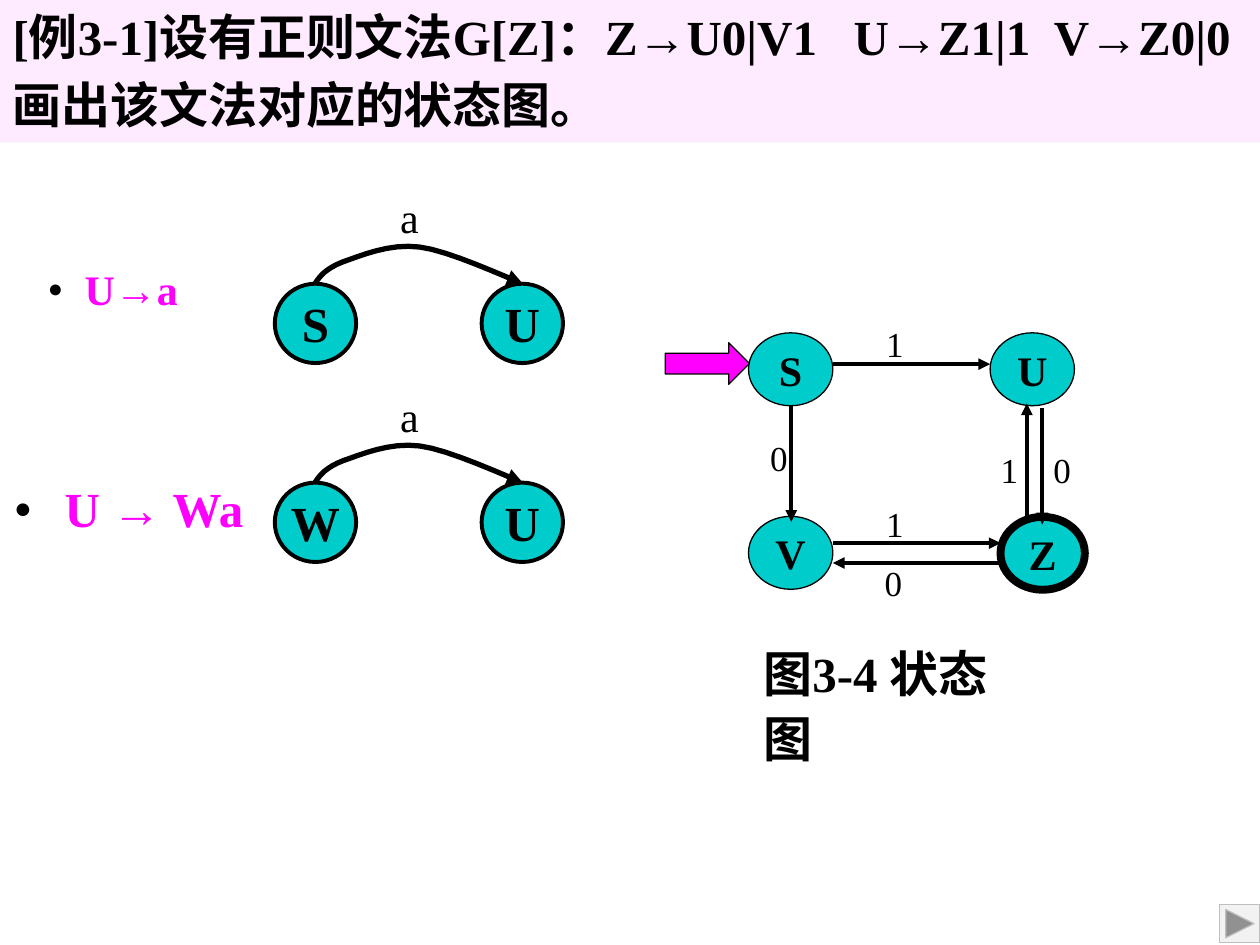
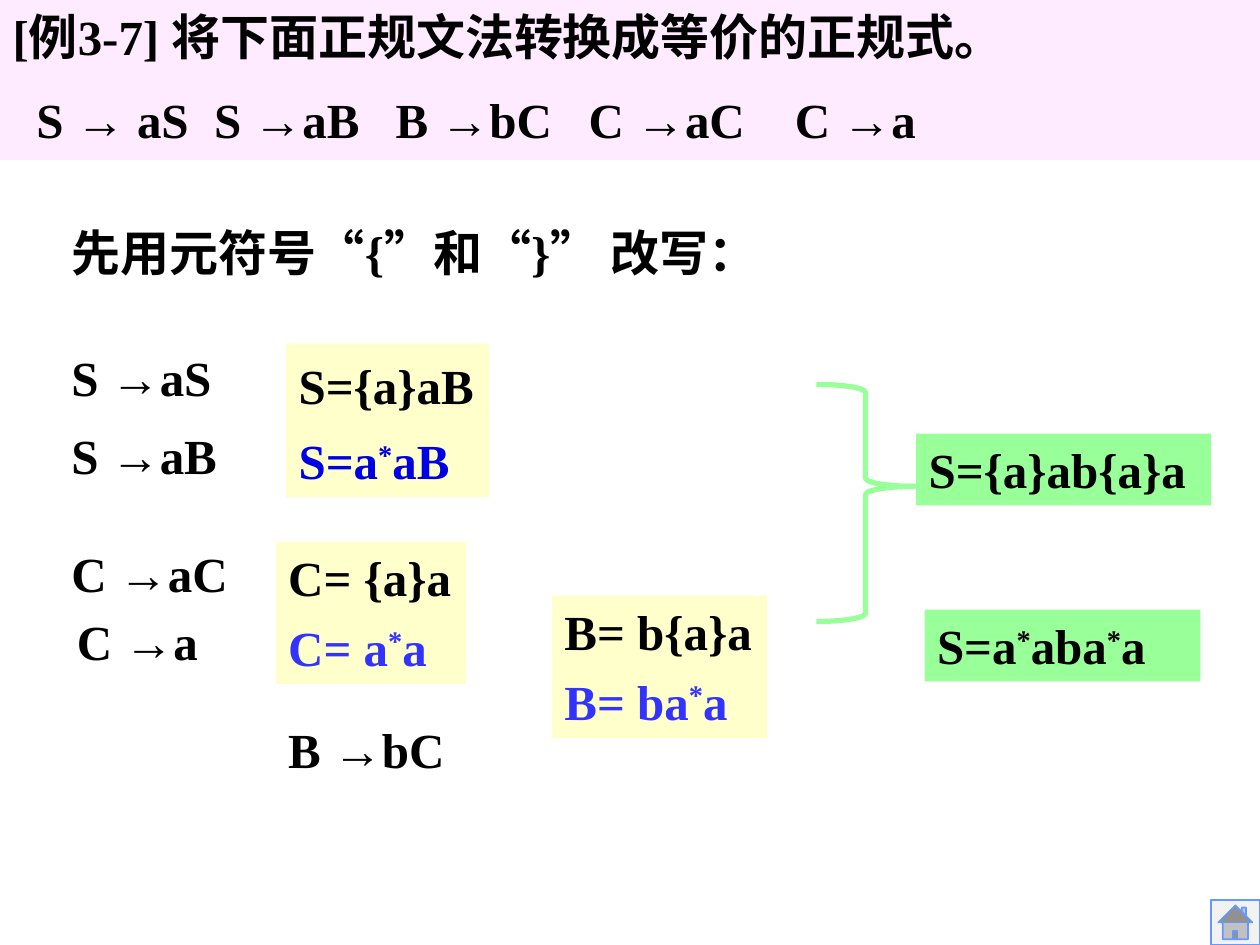
from lxml import etree
from pptx import Presentation
from pptx.dml.color import RGBColor
from pptx.enum.shapes import MSO_CONNECTOR, MSO_SHAPE
from pptx.enum.text import MSO_ANCHOR, MSO_AUTO_SIZE, PP_ALIGN
from pptx.oxml.ns import qn
from pptx.util import Cm, Pt

BLACK = RGBColor(0x00, 0x00, 0x00)
PINK = RGBColor(0xFF, 0xEB, 0xFF)
MAGENTA = RGBColor(0xFF, 0x00, 0xFF)
TEAL = RGBColor(0x00, 0xCC, 0xCC)
CREAM = RGBColor(0xFF, 0xFF, 0xCC)
GREEN = RGBColor(0x99, 0xFF, 0x99)
BLUE = RGBColor(0x33, 0x33, 0xFF)
DEEP_BLUE = RGBColor(0x00, 0x00, 0xE5)
BUTTON_FILL = RGBColor(0xF2, 0xF2, 0xF2)
BUTTON_GREY = RGBColor(0xBF, 0xBF, 0xBF)
BUTTON_BLUE = RGBColor(0x66, 0x99, 0xFF)

OVAL, RECT = MSO_SHAPE.OVAL, MSO_SHAPE.RECTANGLE
RIGHT_ARROW, RIGHT_BRACE = MSO_SHAPE.RIGHT_ARROW, MSO_SHAPE.RIGHT_BRACE
NEXT_BUTTON = MSO_SHAPE.ACTION_BUTTON_FORWARD_OR_NEXT
HOME_BUTTON = MSO_SHAPE.ACTION_BUTTON_HOME
STRAIGHT = MSO_CONNECTOR.STRAIGHT
TOP, MIDDLE = MSO_ANCHOR.TOP, MSO_ANCHOR.MIDDLE
LEFT, CENTER, JUSTIFY = PP_ALIGN.LEFT, PP_ALIGN.CENTER, PP_ALIGN.JUSTIFY
NO_FIT = MSO_AUTO_SIZE.NONE

FONT = "Times New Roman"
SLIDE_W = 25.4
TITLE_AND_BODY, TITLE_ONLY = 1, 5


def child(parent, tag, **attrs):
    return etree.SubElement(parent, qn(tag), attrs)


def add_arrowhead(line):
    child(line._get_or_add_ln(), "a:tailEnd", type="triangle")


def bezier(p0, p1, p2, p3, steps=8):
    for i in range(1, steps + 1):
        t = i / steps
        weights = ((1 - t) ** 3, 3 * t * (1 - t) ** 2, 3 * t * t * (1 - t), t ** 3)
        yield tuple(sum(w * p[axis] for w, p in zip(weights, (p0, p1, p2, p3)))
                    for axis in (0, 1))


class Deck:
    def __init__(self):
        self.prs = Presentation()
        self.prs.slide_width, self.prs.slide_height = Cm(SLIDE_W), Cm(19.05)

    def new_slide(self, layout):
        self.s = self.prs.slides.add_slide(self.prs.slide_layouts[layout])

    def place(self, sp, x, y, w, h):
        sp.left, sp.top, sp.width, sp.height = Cm(x), Cm(y), Cm(w), Cm(h)

    def frame(self, sp, anchor=TOP, inset=None, wrap=True):
        tf = sp.text_frame
        tf.auto_size, tf.word_wrap, tf.vertical_anchor = NO_FIT, wrap, anchor
        if inset is not None:
            tf.margin_left = tf.margin_right = Cm(inset)
            tf.margin_top = tf.margin_bottom = Cm(inset)
        return tf

    def add_run(self, p, text, size, color, bold):
        r = p.add_run()
        r.text = text
        f = r.font
        f.name, f.size, f.bold = FONT, Pt(size), bold
        f.color.rgb = color
        return r

    def add_lines(self, tf, lines, size=28, align=LEFT, bold=True, spacing=1.0, before=0):
        for i, (text, color) in enumerate(lines):
            p = tf.add_paragraph() if i else tf.paragraphs[0]
            p.alignment, p.line_spacing = align, spacing
            p.space_before = Pt(before if i else 0)
            for j, part in enumerate(text.split("*")):
                if j:
                    star = self.add_run(p, "*", size, color, bold)
                    star._r.get_or_add_rPr().set("baseline", "30000")
                self.add_run(p, part, size, color, bold)

    def title(self, height, lines, before, tabs=()):
        sp = self.s.shapes.title
        self.place(sp, 0, 0, SLIDE_W, height)
        sp.fill.solid()
        sp.fill.fore_color.rgb = PINK
        tf = self.frame(sp)
        self.add_lines(tf, [(t, BLACK) for t in lines], align=JUSTIFY, before=before)
        if tabs:
            stops = child(tf.paragraphs[-1]._p.get_or_add_pPr(), "a:tabLst")
            for pos in tabs:
                child(stops, "a:tab", pos=str(Cm(pos)), algn="l")

    def bullets(self, box, items):
        sp = self.s.placeholders[1]
        self.place(sp, *box)
        tf = self.frame(sp)
        for i, (text, size, margin, hang, before) in enumerate(items):
            p = tf.add_paragraph() if i else tf.paragraphs[0]
            p.alignment, p.line_spacing, p.space_before = LEFT, 1.1, Pt(before)
            self.add_run(p, text, size, MAGENTA, True)
            pPr = p._p.get_or_add_pPr()
            pPr.set("marL", str(Cm(margin)))
            pPr.set("indent", str(-Cm(hang)))
            child(child(pPr, "a:buClr"), "a:srgbClr", val=str(BLACK))
            child(pPr, "a:buSzPct", val="60000")
            child(pPr, "a:buChar", char="●")

    def text(self, text, x, y, w, h, spacing=1.0):
        sp = self.s.shapes.add_textbox(Cm(x), Cm(y), Cm(w), Cm(h))
        self.add_lines(self.frame(sp), [(text, BLACK)], spacing=spacing)

    def label(self, text, x, y, w, h, size):
        sp = self.s.shapes.add_textbox(Cm(x), Cm(y), Cm(w), Cm(h))
        tf = self.frame(sp, MIDDLE, 0, wrap=False)
        self.add_lines(tf, [(text, BLACK)], size, CENTER, bold=False)

    def shape(self, kind, box, fill=None, line=None, width=0.75, adjust=()):
        sp = self.s.shapes.add_shape(kind, *map(Cm, box))
        sp.shadow.inherit = False
        if fill is None:
            sp.fill.background()
        else:
            sp.fill.solid()
            sp.fill.fore_color.rgb = fill
        if line is None:
            sp.line.fill.background()
        else:
            sp.line.color.rgb, sp.line.width = line, Pt(width)
        for i, value in enumerate(adjust):
            sp.adjustments[i] = value
        return sp

    def state(self, name, box, size, width):
        sp = self.shape(OVAL, box, TEAL, BLACK, width)
        self.add_lines(self.frame(sp, MIDDLE, 0, False), [(name, BLACK)], size, CENTER)

    def card(self, box, fill, lines, align=JUSTIFY, spacing=1.0):
        tf = self.frame(self.shape(RECT, box, fill))
        self.add_lines(tf, lines, align=align, spacing=spacing, before=6)

    def arrow(self, x1, y1, x2, y2):
        c = self.s.shapes.add_connector(STRAIGHT, Cm(x1), Cm(y1), Cm(x2), Cm(y2))
        c.line.color.rgb, c.line.width = BLACK, Pt(2.25)
        add_arrowhead(c.line)
        child(c._element.spPr, "a:effectLst")

    def curved_arrow(self, nodes):
        points = [p for i in range(0, len(nodes) - 1, 3) for p in bezier(*nodes[i:i + 4])]
        start = nodes[0]
        fb = self.s.shapes.build_freeform(Cm(start[0]), Cm(start[1]))
        fb.add_line_segments([(Cm(x), Cm(y)) for x, y in points], close=False)
        sp = fb.convert_to_shape()
        sp.shadow.inherit = False
        sp.fill.background()
        sp.line.color.rgb, sp.line.width = BLACK, Pt(3)
        add_arrowhead(sp.line)


def state_diagram_slide(d):
    d.new_slide(TITLE_AND_BODY)
    d.title(2.87, ["[例3-1]设有正则文法G[Z]：Z→U0|V1   U→Z1|1  V→Z0|0",
                   "画出该文法对应的状态图。"], before=5.6)

    states = [("S", 15.09, 6.71, 0.75), ("U", 19.96, 6.71, 0.75),
              ("V", 15.09, 10.41, 0.75), ("Z", 20.17, 10.42, 4.5)]
    for name, x, y, width in states:
        d.state(name, (x, y, 1.7, 1.47), 24, width)
    d.shape(RIGHT_ARROW, (13.41, 6.91, 1.7, 0.84), MAGENTA, BLACK)

    transitions = [("0", (15.95, 8.18, 15.95, 10.52), (15.52, 8.81)),
                   ("0", (20.17, 11.35, 16.79, 11.35), (17.83, 11.33)),
                   ("0", (21.01, 8.23, 21.01, 10.57), (21.23, 9.04)),
                   ("1", (16.79, 7.34, 19.96, 7.34), (17.86, 6.5)),
                   ("1", (20.7, 10.46, 20.7, 8.13), (20.17, 9.04)),
                   ("1", (16.79, 10.95, 20.17, 10.95), (17.86, 10.13))]
    for symbol, ends, (x, y) in transitions:
        d.arrow(*ends)
        d.label(symbol, x, y, 0.36, 0.84, 20)
    d.text("图3-4 状态图", 15.14, 12.73, 5.84, 1.47, 1.1)
    d.shape(NEXT_BUTTON, (24.59, 18.24, 0.81, 0.76), BUTTON_FILL, BUTTON_GREY)

    d.bullets((0.03, 5.08, 5.92, 6.17), [("U→a", 24, 1.42, 0.74, 0),
                                         ("U → Wa", 28, 1.02, 1.02, 91)])
    arc = [(6.35, 5.72), (6.45, 5.56), (6.58, 5.41), (6.91, 5.28), (7.26, 5.16),
           (7.85, 4.9), (8.46, 4.98), (9.04, 5.05), (10.21, 5.59), (10.54, 5.72)]
    for row, source in enumerate("SW"):
        dy = row * 4.01
        d.label("a", 8.05, 3.86 + dy, 0.41, 1.02, 24)
        d.curved_arrow([(x, y + dy) for x, y in arc])
        for name, x in ((source, 5.54), ("U", 9.71)):
            d.state(name, (x, 5.72 + dy, 1.64, 1.6), 28, 2.25)


def regular_expression_slide(d):
    d.new_slide(TITLE_ONLY)
    d.title(3.23, ["[例3-7] 将下面正规文法转换成等价的正规式。",
                   "\tS → aS\tS →aB\tB →bC\tC →aC\tC →a"],
            before=14, tabs=(0.48, 4.06, 7.72, 11.61, 15.77))
    d.text("先用元符号“{”和“}” 改写：", 1.19, 4.37, 21.69, 1.45)

    productions = [("S →aS", 1.19, 6.76), ("S →aB", 1.19, 8.33), ("C →aC", 1.19, 10.72),
                   ("C →a", 1.3, 12.09), ("B →bC", 5.56, 14.27)]
    for rule, x, y in productions:
        d.text(rule, x, y, 4.2, 1.47, 1.1)

    d.card((11.13, 12.01, 4.34, 2.87), CREAM, [("B= b{a}a", BLACK), ("B= ba*a", BLUE)])
    d.card((5.56, 10.92, 3.84, 2.87), CREAM, [("C= {a}a", BLACK), ("C= a*a", BLUE)])
    d.card((5.77, 6.93, 4.09, 3.1), CREAM,
           [("S={a}aB", BLACK), ("S=a*aB", DEEP_BLUE)], LEFT, 1.1)

    d.card((18.47, 8.74, 5.94, 1.45), GREEN, [("S={a}ab{a}a", BLACK)])
    d.shape(RIGHT_BRACE, (16.46, 7.75, 1.98, 4.78), None, GREEN, 3, (0.083, 0.43))
    d.card((18.64, 12.29, 5.56, 1.45), GREEN, [("S=a*aba*a", BLACK)])
    d.shape(HOME_BUTTON, (24.41, 18.14, 0.99, 0.91), BUTTON_FILL, BUTTON_BLUE, 1)


def main():
    d = Deck()
    state_diagram_slide(d)
    regular_expression_slide(d)
    d.prs.save("out.pptx")


if __name__ == "__main__":
    main()
